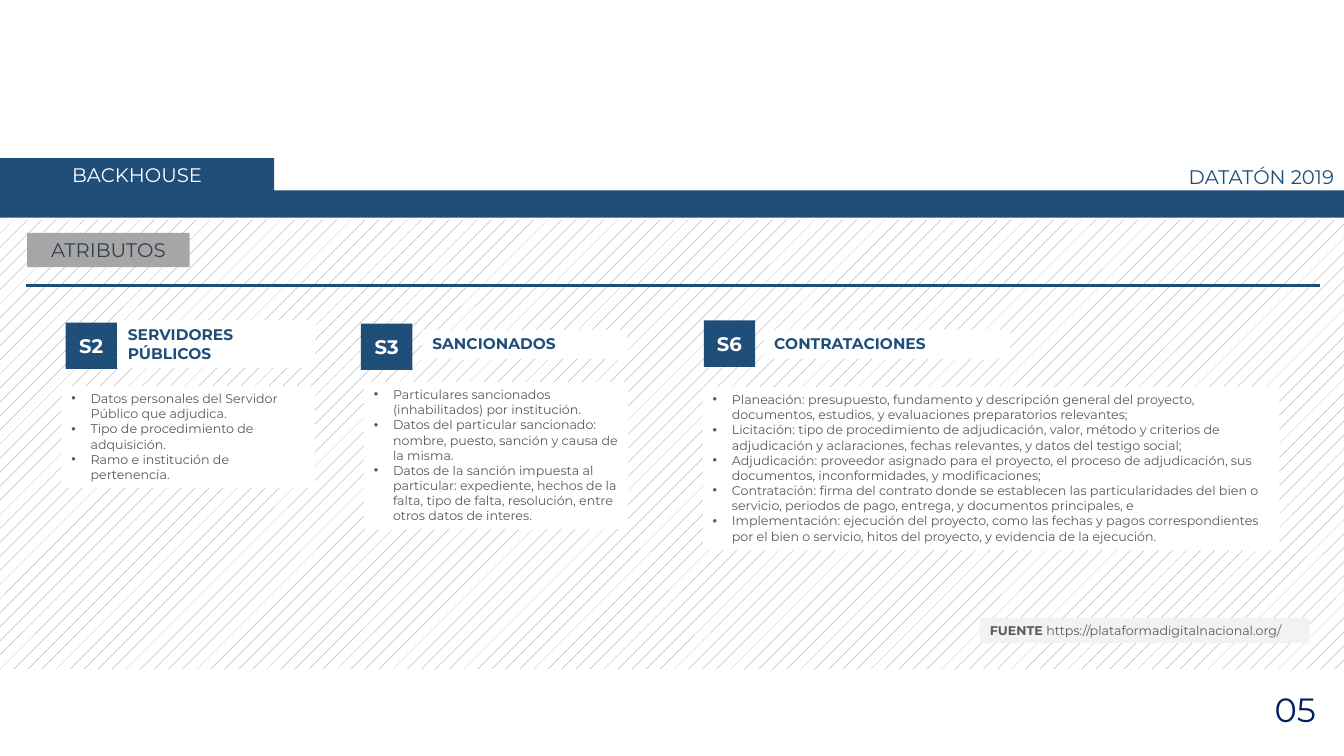
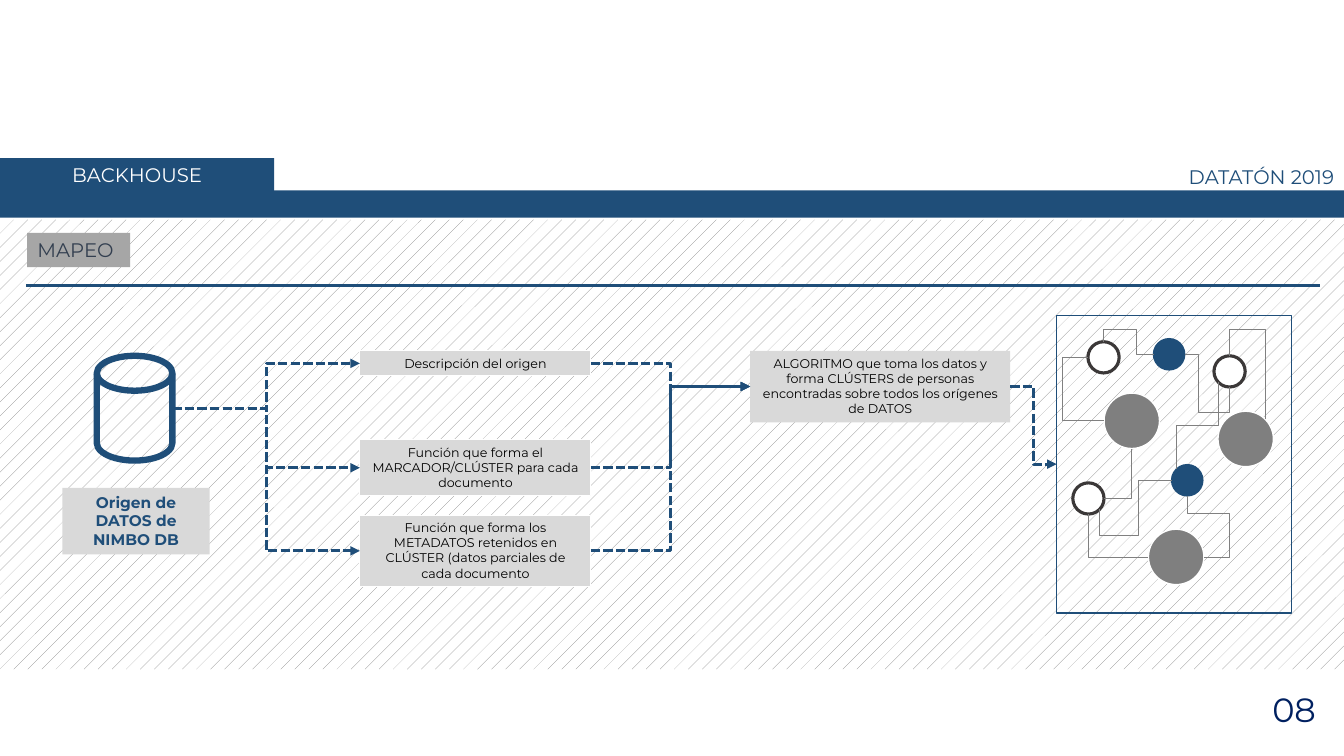
import math
from lxml import etree
from pptx import Presentation, util as u
from pptx.dml.color import RGBColor
from pptx.enum import dml, shapes, text
from pptx.oxml.ns import qn

COLORS = {
    "navy": "1F4E79", "deep": "002060", "slate": "333F50", "body": "595959",
    "black": "000000", "white": "FFFFFF", "label": "A6A6A6", "box": "D9D9D9",
    "pale": "F2F2F2", "node": "7F7F7F", "wire": "808080", "ring": "3B3838",
}
FONT = "Montserrat"
COLUMNS, ROWS = 13.33, 7.5  # the grid has square cells of one inch
KIND = shapes.MSO_SHAPE
ALIGN = {"left": text.PP_ALIGN.LEFT, "center": text.PP_ALIGN.CENTER,
         "right": text.PP_ALIGN.RIGHT}
# Directions around a shape, in degrees counter-clockwise from the right
EAST, NORTHEAST, NORTH, NORTHWEST = 0, 45, 90, 135
WEST, SOUTHWEST, SOUTH, SOUTHEAST = 180, 225, 270, 315


def rgb(name):
    """Return a palette colour."""
    return RGBColor.from_string(COLORS[name])


def cells(*lengths):
    """Turn grid cells into slide lengths."""
    return [u.Inches(length) for length in lengths]


def add_xml(parent, tag, **attributes):
    """Append an XML element and return it."""
    return etree.SubElement(parent, qn(tag), attributes)


def write(shape, content, size=9, color="black", bold=False, align="left",
          lead="", bullets=False, fixed=False):
    """Fill a shape with paragraphs; lead is a bold opening, fixed keeps the size."""
    frame = shape.text_frame
    frame.word_wrap = True
    frame.vertical_anchor = text.MSO_ANCHOR.MIDDLE if fixed else text.MSO_ANCHOR.TOP
    frame.auto_size = (text.MSO_AUTO_SIZE.NONE if fixed
                       else text.MSO_AUTO_SIZE.SHAPE_TO_FIT_TEXT)
    frame.margin_left = frame.margin_right = u.Inches(0.1)
    frame.margin_top = frame.margin_bottom = u.Inches(0.05)
    for number, line in enumerate([content] if isinstance(content, str) else content):
        paragraph = frame.add_paragraph() if number else frame.paragraphs[0]
        paragraph.alignment = ALIGN[align]
        if bullets:
            layout = paragraph._p.get_or_add_pPr()
            indent = u.Inches(0.19)
            layout.set("marL", str(indent))
            layout.set("indent", str(-indent))
            add_xml(layout, "a:buFont", typeface="Arial")
            add_xml(layout, "a:buChar", char="•")
        for words, heavy in ((lead, True), (line, bold)):
            if words:
                run = paragraph.add_run()
                run.text = words
                run.font.name, run.font.size = FONT, u.Pt(size)
                run.font.bold = heavy
                run.font.color.rgb = rgb(color)


def paint(shape, fill=None, line=None, weight=1):
    """Set the fill and outline of a shape."""
    if fill:
        shape.fill.solid()
        shape.fill.fore_color.rgb = rgb(fill)
    else:
        shape.fill.background()
    if line:
        shape.line.color.rgb = rgb(line)
        shape.line.width = u.Pt(weight)
    else:
        shape.line.fill.background()


def site(shape, direction):
    """Return the point and index of a connection site."""
    angle = math.radians(direction)
    width, height = shape.width.inches, shape.height.inches
    x = shape.left.inches + width / 2 * (1 + math.cos(angle))
    y = shape.top.inches + height / 2 * (1 - math.sin(angle))
    if shape.auto_shape_type == KIND.FLOWCHART_MAGNETIC_DISK:
        return x, y, 4
    step = 45 if shape.auto_shape_type == KIND.OVAL else 90
    return x, y, (direction - 90) % 360 // step


class Deck:
    """Holds the shared style and the current slide."""

    def __init__(self):
        """Open a wide presentation with a title-only layout."""
        self.file = Presentation()
        self.file.slide_width, self.file.slide_height = cells(COLUMNS, ROWS)
        self.layout = self.file.slide_layouts[5]
        self.slide = None

    def hatch(self):
        """Move a hatched backdrop from the current slide to its layout."""
        backdrop = self.box(0, 2.18, COLUMNS, 4.46, fill="white")
        backdrop.fill.patterned()
        backdrop.fill.pattern = dml.MSO_PATTERN.PERCENT_5
        backdrop.fill.fore_color.rgb = rgb("wire")
        backdrop.fill.back_color.rgb = rgb("white")
        self.layout.shapes.element.insert(2, backdrop.element)

    def page(self, heading, width, number, align="left"):
        """Start a slide with its heading, bands, rule and number."""
        self.slide = self.file.slides.add_slide(self.layout)
        if len(self.file.slides) == 1:
            self.hatch()
        title = self.slide.shapes.title
        title.left, title.top, title.width, title.height = cells(0.27, 2.31, width, 0.34)
        paint(title, "label")
        write(title, heading, size=14, color="slate", align=align, fixed=True)
        self.box(0, 1.89, COLUMNS, 0.27, fill="navy")
        self.box(0, 1.57, 2.72, 0.34, "BACKHOUSE", fill="navy", size=14,
                 color="white", align="center")
        self.label(9.95, 1.59, 3.38, 0.34, "DATATÓN 2019", size=14,
                   color="navy", align="right")
        self.label(10.43, 6.79, 2.72, 0.5, number, size=24, color="deep", align="right")
        self.rule(0.26, 2.83, 12.83)

    def box(self, x, y, width, height, content="", kind=KIND.RECTANGLE,
            fill=None, line=None, weight=1, **style):
        """Add a preset shape, with text if there is any."""
        shape = self.slide.shapes.add_shape(kind, *cells(x, y, width, height))
        shape.shadow.inherit = False
        paint(shape, fill, line, weight)
        if content:
            write(shape, content, **style)
        return shape

    def label(self, x, y, width, height, content, **style):
        """Add a plain text box."""
        write(self.slide.shapes.add_textbox(*cells(x, y, width, height)), content, **style)

    def circle(self, x, y, size, **look):
        """Add a circle."""
        return self.box(x, y, size, size, kind=KIND.OVAL, **look)

    def stroke(self, kind, ends, color, weight):
        """Add a connector without shadow."""
        stroke = self.slide.shapes.add_connector(kind, *cells(*ends))
        stroke.line.color.rgb = rgb(color)
        stroke.line.width = u.Pt(weight)
        add_xml(stroke.element.spPr, "a:effectLst")
        return stroke

    def rule(self, x, y, width):
        """Add a horizontal rule."""
        self.stroke(shapes.MSO_CONNECTOR.STRAIGHT, (x, y, x + width, y), "navy", 2.25)

    def wire(self, start, leave, end, arrive, lanes=(), color="wire", weight=0.5):
        """Join two shapes by a bent connector that runs along the given lanes."""
        x1, y1, first = site(start, leave)
        x2, y2, last = site(end, arrive)
        wire = self.stroke(shapes.MSO_CONNECTOR.ELBOW, (x1, y1, x2, y2), color, weight)
        axes = [(x1, x2), (y1, y2)]
        along, across, turn = x2 - x1, y2 - y1, 0
        upright = leave % 180 != 0
        if upright:
            axes.reverse()
            along, across, turn = y2 - y1, x1 - x2, 90
        flip_h, flip_v = along < 0, across < 0
        if upright and flip_h != flip_v:
            flip_h, flip_v, turn = flip_v, flip_h, 270
        width, height = abs(along), abs(across)
        wire.left, wire.top, wire.width, wire.height = cells(
            (x1 + x2 - width) / 2, (y1 + y2 - height) / 2, width, height)
        frame = wire.element.spPr.find(qn("a:xfrm"))
        for key, value in (("rot", turn * 60000), ("flipH", int(flip_h)),
                           ("flipV", int(flip_v))):
            frame.set(key, str(value))
        bend = wire.element.spPr.find(qn("a:prstGeom"))
        bend.set("prst", f"bentConnector{2 + len(lanes)}")
        guides = bend.find(qn("a:avLst"))
        for number, (lane, (origin, target)) in enumerate(zip(lanes, axes), 1):
            share = round((lane - origin) / (target - origin) * 100000)
            add_xml(guides, "a:gd", name=f"adj{number}", fmla=f"val {share}")
        ties = next(wire.element.iter(qn("p:cNvCxnSpPr")))
        for tag, shape, index in (("a:stCxn", start, first), ("a:endCxn", end, last)):
            add_xml(ties, tag, id=str(shape.shape_id), idx=str(index))
        return wire

    def arrow(self, start, end):
        """Add a dashed arrow from the right of one shape to the left of another."""
        middle = (site(start, EAST)[0] + site(end, WEST)[0]) / 2
        arrow = self.wire(start, EAST, end, WEST, [middle], "navy", 2.25)
        arrow.line.dash_style = dml.MSO_LINE.SQUARE_DOT
        add_xml(arrow.element.spPr.find(qn("a:ln")), "a:tailEnd", type="triangle")


SYSTEMS = [  # code and its place, name and its frame, attributes and their frame
    ("S2", (0.65, 3.2), "SERVIDORES PÚBLICOS", (1.17, 3.18, 1.96, 0.47),
     ["Datos personales del Servidor Público que adjudica.",
      "Tipo de procedimiento de adquisición.",
      "Ramo e institución de pertenencia."], (0.61, 3.83, 2.51, 1.01)),
    ("S3", (3.58, 3.21), "SANCIONADOS", (4.19, 3.27, 2.03, 0.29),
     ["Particulares sancionados (inhabilitados) por institución.",
      "Datos del particular sancionado: nombre, puesto, sanción y causa de la misma.",
      "Datos de la sanción impuesta al particular: expediente, hechos de la falta, "
      "tipo de falta, resolución, entre otros datos de interes."],
     (3.61, 3.79, 2.62, 1.46)),
    ("S6", (6.98, 3.18), "CONTRATACIONES", (7.58, 3.27, 2.44, 0.29),
     ["Planeación: presupuesto, fundamento y descripción general del proyecto, "
      "documentos, estudios, y evaluaciones preparatorios relevantes;",
      "Licitación: tipo de procedimiento de adjudicación, valor, método y criterios de "
      "adjudicación y aclaraciones, fechas relevantes, y datos del testigo social;",
      "Adjudicación: proveedor asignado para el proyecto, el proceso de adjudicación, "
      "sus documentos, inconformidades, y modificaciones;",
      "Contratación: firma del contrato donde se establecen las particularidades del "
      "bien o servicio, periodos de pago, entrega, y documentos principales, e",
      "Implementación: ejecución del proyecto, como las fechas y pagos correspondientes "
      "por el bien o servicio, hitos del proyecto, y evidencia de la ejecución."],
     (6.97, 3.84, 5.72, 1.62)),
]
STEPS = [  # row, height, wording
    (3.48, 0.25, "Descripción del origen"),
    (4.36, 0.56, "Función que forma el MARCADOR/CLÚSTER para cada documento"),
    (5.11, 0.71, "Función que forma los METADATOS retenidos en CLÚSTER "
                 "(datos parciales de cada documento"),
]


def attributes_slide(deck):
    """Build the slide on the attributes of each system."""
    deck.page("ATRIBUTOS", 1.61, "05", align="center")
    for code, place, name, name_frame, attributes, frame in SYSTEMS:
        deck.box(*frame, attributes, fill="white", color="body", bullets=True)
        deck.box(*place, 0.51, 0.46, code, fill="navy", size=14, color="white",
                 bold=True, align="center", fixed=True)
        deck.box(*name_frame, name, fill="white", size=11, color="navy", bold=True)
    deck.box(9.72, 6.13, 3.27, 0.25, "https://plataformadigitalnacional.org/",
             lead="FUENTE ", fill="pale", color="body")


def clusters(deck):
    """Draw the network of linked people."""
    person = dict(size=0.55, fill="node", line="white")
    key = dict(size=0.31, fill="navy", line="navy")
    ring = dict(size=0.31, fill="white", line="ring", weight=2.25)
    left, right, low = [deck.circle(x, y, **person) for x, y in
                        ((10.95, 3.9), (12.08, 4.08), (11.39, 5.25))]
    key_top, key_low = [deck.circle(x, y, **key) for x, y in
                        ((11.44, 3.36), (11.62, 4.61))]
    ring_right, ring_low, ring_left = [deck.circle(x, y, **ring) for x, y in
                                       ((12.04, 3.53), (10.64, 4.79), (10.79, 3.39))]
    for link in (
        (ring_low, EAST, left, SOUTH),
        (ring_low, SOUTHEAST, key_low, WEST, (5.31, 11.29)),
        (ring_low, SOUTH, low, WEST),
        (ring_left, NORTH, key_top, WEST, (3.27, 11.27)),
        (key_top, EAST, ring_right, SOUTH, (11.89, 4.09)),
        (right, NORTHEAST, ring_right, NORTH, (3.27,)),
        (key_low, NORTHWEST, ring_right, SOUTHWEST, (4.22,)),
        (low, EAST, key_low, SOUTH, (12.19, 5.09)),
        (ring_left, WEST, left, WEST, (10.54,)),
    ):
        deck.wire(*link)


def mapping_slide(deck):
    """Build the slide on the flow from the source to the clusters."""
    deck.page("MAPEO", 1.02, "08")
    source = deck.box(0.96, 3.53, 0.75, 1.04, kind=KIND.FLOWCHART_MAGNETIC_DISK,
                      line="navy", weight=4.5)
    deck.box(0.62, 4.84, 1.46, 0.66, "Origen de DATOS de NIMBO DB", fill="box",
             size=11, color="navy", bold=True, align="center")
    algorithm = deck.box(
        7.44, 3.48, 2.58, 0.71, "ALGORITMO que toma los datos y forma CLÚSTERS de "
        "personas encontradas sobre todos los orígenes de DATOS",
        fill="box", align="center")
    for row, height, wording in STEPS:
        step = deck.box(3.57, row, 2.29, height, wording, fill="box", line="white",
                        weight=0.75, align="center")
        deck.arrow(source, step)
        deck.arrow(step, algorithm)
    network = deck.box(10.48, 3.13, 2.33, 2.95, line="navy")
    deck.arrow(algorithm, network)
    clusters(deck)


deck = Deck()
attributes_slide(deck)
mapping_slide(deck)
deck.file.save("out.pptx")
